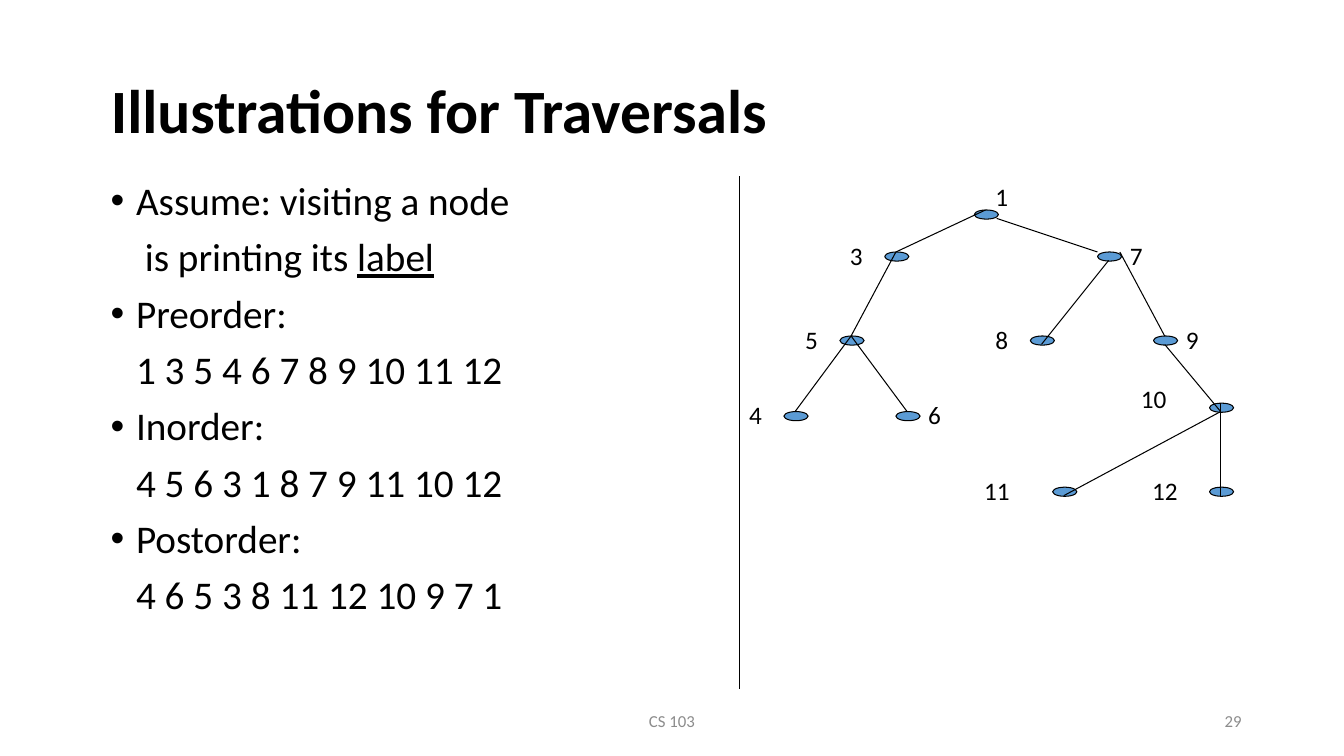
import pptx
import pptx.util
import pptx.dml.color
import pptx.enum.shapes
import pptx.enum.text
import pptx.oxml.ns
from lxml import etree
from pptx.util import Cm, Pt

COLORS = {"ink": "000000", "node": "5B9BD5", "footer": "8C8C8C"}
FONT = "Calibri"
ALIGN = pptx.enum.text.PP_ALIGN
ANCHOR = pptx.enum.text.MSO_ANCHOR

# The tree stands on a grid of ninths (across) and twelfths (down) of an inch.
COLUMN, ROW = 2.54 / 9, 2.54 / 12

# label: (node column, node row, label column, label row)
NODES = {
    "1": (87, 25, 88, 21),
    "3": (79, 30, 75, 28),
    "7": (98, 30, 100, 28),
    "5": (75, 40, 71, 38),
    "8": (92, 40, 88, 38),
    "9": (103, 40, 105, 38),
    "4": (70, 49, 66, 47),
    "6": (80, 49, 82, 47),
    "10": (108, 48, 101, 45),
    "11": (94, 58, 87, 56),
    "12": (108, 58, 102, 56),
}
# start column, start row, end column, end row
EDGES = [
    (88, 25, 80, 30),
    (89, 26, 98, 30),
    (80, 30, 76, 40),
    (99, 31, 93, 41),
    (100, 30, 104, 40),
    (76, 40, 71, 49),
    (76, 40, 81, 49),
    (104, 41, 109, 49),
    (109, 49, 95, 59),
    (109, 48, 109, 59),
]
DIVIDER = (66, 21, 66, 82)

TRAVERSALS = {
    "Preorder:": "1 3 5 4 6 7 8 9 10 11 12",
    "Inorder:": "4 5 6 3 1 8 7 9 11 10 12",
    "Postorder:": "4 6 5 3 8 11 12 10 9 7 1",
}


def rgb(name):
    return pptx.dml.color.RGBColor.from_string(COLORS[name])


def style_font(font, size, color="ink", bold=False):
    font.name, font.size, font.bold = FONT, Pt(size), bold
    font.color.rgb = rgb(color)


def add_text(shapes, text, box, size, color="ink", align=ALIGN.LEFT,
             anchor=ANCHOR.TOP, wrap=True):
    """Add a one-paragraph text box; box is left, top, width, height in cm."""
    frame = shapes.add_textbox(*map(Cm, box)).text_frame
    frame.word_wrap = wrap
    frame.vertical_anchor = anchor
    paragraph = frame.paragraphs[0]
    paragraph.text = text
    paragraph.alignment = align
    style_font(paragraph.font, size, color)
    return frame


def add_line(shapes, columns_and_rows):
    start_column, start_row, end_column, end_row = columns_and_rows
    line = shapes.add_connector(
        pptx.enum.shapes.MSO_CONNECTOR.STRAIGHT,
        Cm(start_column * COLUMN), Cm(start_row * ROW),
        Cm(end_column * COLUMN), Cm(end_row * ROW))
    line.line.color.rgb = rgb("ink")
    line.line.width = Pt(0.75)
    etree.SubElement(line._element.spPr, pptx.oxml.ns.qn("a:effectLst"))


def add_node(shapes, column, row):
    node = shapes.add_shape(pptx.enum.shapes.MSO_SHAPE.OVAL,
                            Cm(column * COLUMN), Cm(row * ROW), Cm(0.61), Cm(0.23))
    node.shadow.inherit = False
    node.fill.solid()
    node.fill.fore_color.rgb = rgb("node")
    node.line.color.rgb = rgb("ink")
    node.line.width = Pt(0.75)


def add_tree(slide):
    shapes = slide.shapes.add_group_shape().shapes
    for column, row, _, _ in NODES.values():
        add_node(shapes, column, row)
    for label, (_, _, column, row) in NODES.items():
        width = 0.51 + 0.33 * len(label)
        add_text(shapes, label, (column * COLUMN, row * ROW, width, 1.02), 18, wrap=False)
    for edge in EDGES:
        add_line(shapes, edge)


def set_title(slide, text):
    title = slide.shapes.title
    title.left, title.top, title.width, title.height = Cm(2.54), Cm(1.69), Cm(28.79), Cm(2.33)
    frame = title.text_frame
    frame.text = text
    frame.auto_size = pptx.enum.text.MSO_AUTO_SIZE.NONE
    frame.vertical_anchor = ANCHOR.MIDDLE
    paragraph = frame.paragraphs[0]
    paragraph.alignment = ALIGN.LEFT
    paragraph.line_spacing = 0.9
    style_font(paragraph.runs[0].font, 44, bold=True)


def format_body_line(paragraph, indent=0.64, bullet=False):
    """Indent a line of the body, with a hanging bullet if asked for."""
    properties = paragraph._p.get_or_add_pPr()
    properties.set("marL", str(Cm(indent)))
    properties.set("indent", str(Cm(-indent) if bullet else 0))
    if bullet:
        etree.SubElement(properties, pptx.oxml.ns.qn("a:buFont"), typeface="Arial")
        etree.SubElement(properties, pptx.oxml.ns.qn("a:buChar"), char="•")
    else:
        etree.SubElement(properties, pptx.oxml.ns.qn("a:buNone"))
    paragraph.line_spacing = 0.9
    for run in paragraph.runs:
        style_font(run.font, 28)


def add_body(slide):
    frame = add_text(slide.shapes, "Assume: visiting a node", (2.54, 4.45, 28.79, 12.5), 28)
    format_body_line(frame.paragraphs[0], bullet=True)

    assumption = frame.add_paragraph()
    assumption.text = "is printing its "
    label = assumption.add_run()
    label.text = "label"
    label.font.underline = True
    format_body_line(assumption, indent=0.86)

    for order, visited in TRAVERSALS.items():
        for text in (order, visited):
            paragraph = frame.add_paragraph()
            paragraph.text = text
            format_body_line(paragraph, bullet=text == order)
    for paragraph in frame.paragraphs[1:]:
        paragraph.space_before = Pt(10)


def main():
    deck = pptx.Presentation()
    deck.slide_width, deck.slide_height = Cm(33.87), Cm(19.05)
    slide = deck.slides.add_slide(deck.slide_layouts[5])

    add_text(slide.shapes, "CS 103", (11.22, 17.65, 11.43, 1.01), 12, "footer",
             ALIGN.CENTER, ANCHOR.MIDDLE)
    add_text(slide.shapes, "29", (23.92, 17.65, 7.62, 1.01), 12, "footer",
             ALIGN.RIGHT, ANCHOR.MIDDLE)
    set_title(slide, "Illustrations for Traversals")
    add_body(slide)
    add_tree(slide)
    add_line(slide.shapes, DIVIDER)

    deck.save("out.pptx")


if __name__ == "__main__":
    main()
